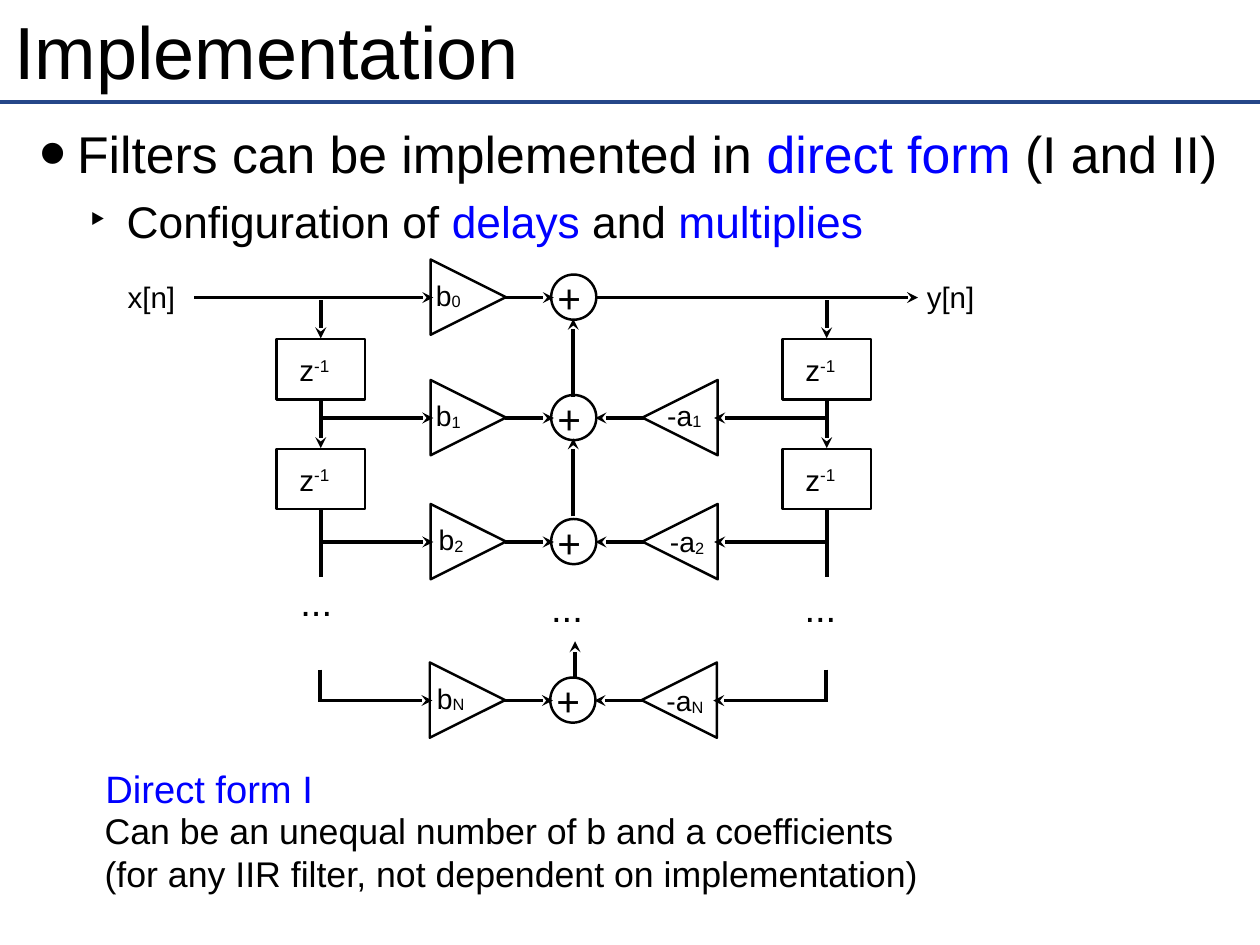
from dataclasses import dataclass

from lxml.etree import SubElement
from pptx import Presentation
from pptx.dml.color import RGBColor
from pptx.enum.shapes import MSO_CONNECTOR, MSO_SHAPE
from pptx.enum.text import MSO_ANCHOR
from pptx.oxml.ns import qn
from pptx.slide import Slide
from pptx.text.text import _Paragraph as Paragraph
from pptx.util import Emu, Pt

EMU_PER_PX = 9144


@dataclass(frozen=True)
class Theme:
    font: str = "Arial"
    ink: RGBColor = RGBColor(0, 0, 0)
    accent: RGBColor = RGBColor(0, 0, 255)
    rule: RGBColor = RGBColor(0x25, 0x47, 0x89)
    title: int = 60
    bullet: int = 42
    sub_bullet: int = 36
    sum_sign: int = 33
    caption: int = 31
    note: int = 29
    symbol: int = 24
    gain: int = 23
    wire: int = 3
    outline: int = 2


THEME = Theme()


@dataclass(frozen=True)
class Label:
    text: str
    left: int
    top: int
    width: int
    height: int
    size: int
    color: RGBColor = THEME.ink
    script: str = ""
    baseline: int = 0
    inset: int = 0


@dataclass(frozen=True)
class Wire:
    x1: int
    y1: int
    x2: int
    y2: int
    arrow: bool = True
    color: RGBColor = THEME.ink


@dataclass(frozen=True)
class Tap:
    y: int
    script: str
    b_left: int
    a_left: int = 0
    a_top: int = 0
    shift: int = 0
    input_x: int = 362


@dataclass(frozen=True)
class Bullet:
    spans: tuple[str, ...]
    mark: str
    mark_percent: int
    margin: int
    size: int
    space: int


TAPS = [
    Tap(336, "0", 492, input_x=219),
    Tap(472, "1", 492, 753, 445),
    Tap(612, "2", 495, 756, 588),
    Tap(791, "N", 493, 752, 767, shift=-1),
]
DELAY_COLUMNS = (362, 933)
DELAY_TOPS = (383, 507)
BULLETS = [
    Bullet(("Filters can be implemented in ", "direct form", " (I and II)"),
           "•", 150, 69, THEME.bullet, 0),
    Bullet(("Configuration of ", "delays", " and ", "multiplies"),
           "‣", 100, 125, THEME.sub_bullet, 8),
]
LABELS = [
    Label("Implementation", 10, 6, 1401, 101, THEME.title, inset=6),
    Label("x[n]", 144, 311, 66, 49, THEME.symbol),
    Label("y[n]", 1046, 311, 66, 49, THEME.symbol),
    Label("...", 339, 649, 48, 60, THEME.caption),
    Label("...", 622, 656, 48, 60, THEME.caption),
    Label("...", 908, 656, 48, 60, THEME.caption),
    Label("Direct form I", 119, 860, 260, 60, THEME.caption, THEME.accent),
    Label("Can be an unequal number of b and a coefficients\n"
          "(for any IIR filter, not dependent on implementation)",
          118, 911, 960, 101, THEME.note),
]
WIRES = [
    Wire(0, 115, 1422, 115, False, THEME.rule),
    Wire(672, 336, 1036, 336),
    Wire(647, 583, 647, 495),
    Wire(647, 448, 647, 360),
    Wire(649, 766, 649, 724),
]


def px(length: int) -> Emu:
    return Emu(length * EMU_PER_PX)


def style_run(span, size: int, color: RGBColor) -> None:
    span.font.name = THEME.font
    span.font.size = Pt(size)
    span.font.color.rgb = color


def add_label(page: Slide, label: Label) -> None:
    box = page.shapes.add_textbox(
        px(label.left), px(label.top), px(label.width), px(label.height))
    frame = box.text_frame
    frame.word_wrap = True
    frame.vertical_anchor = MSO_ANCHOR.MIDDLE
    frame.margin_left = frame.margin_right = px(label.inset)
    frame.margin_top = frame.margin_bottom = px(label.inset)
    frame.text = label.text
    for para in frame.paragraphs:
        for span in para.runs:
            style_run(span, label.size, label.color)
    if label.script:
        span = frame.paragraphs[0].add_run()
        span.text = label.script
        style_run(span, label.size, label.color)
        span.font._element.set("baseline", str(label.baseline * 1000))


def add_wire(page: Slide, wire: Wire) -> None:
    line = page.shapes.add_connector(
        MSO_CONNECTOR.STRAIGHT, px(wire.x1), px(wire.y1), px(wire.x2), px(wire.y2))
    line.line.color.rgb = wire.color
    line.line.width = Pt(THEME.wire)
    if wire.arrow:
        SubElement(line.line._get_or_add_ln(), qn("a:tailEnd"), type="stealth")
    SubElement(line._element.spPr, qn("a:effectLst"))


def add_outline(page: Slide, kind: MSO_SHAPE, left: int, top: int,
                width: int, height: int, rotation: int = 0) -> None:
    shape = page.shapes.add_shape(kind, px(left), px(top), px(width), px(height))
    shape.rotation = rotation
    shape.shadow.inherit = False
    shape.fill.background()
    shape.line.color.rgb = THEME.ink
    shape.line.width = Pt(THEME.outline)


def add_tap(page: Slide, tap: Tap) -> None:
    y, shift = tap.y, tap.shift
    add_outline(page, MSO_SHAPE.ISOSCELES_TRIANGLE, 486 + shift, y - 43, 85, 85, 90)
    add_outline(page, MSO_SHAPE.OVAL, 622 + shift, y - 26, 51, 51)
    add_label(page, Label("+", 629 + shift, y - 31, 39, 62, THEME.sum_sign))
    add_label(page, Label("b", tap.b_left, y - 27, 48, 48, THEME.gain,
                          script=tap.script, baseline=-6))
    add_wire(page, Wire(tap.input_x + shift, y, 489 + shift, y))
    add_wire(page, Wire(570 + shift, y, 625 + shift, y))
    if tap.a_left:
        add_outline(page, MSO_SHAPE.ISOSCELES_TRIANGLE, 725 + shift, y - 43, 85, 85, 270)
        add_label(page, Label("-a", tap.a_left, tap.a_top, 58, 47, THEME.gain,
                              script=tap.script, baseline=-6))
        add_wire(page, Wire(933 + shift, y, 806 + shift, y))
        add_wire(page, Wire(727 + shift, y, 672 + shift, y))


def add_delay_column(page: Slide, x: int) -> None:
    for top in DELAY_TOPS:
        add_outline(page, MSO_SHAPE.RECTANGLE, x - 50, top, 100, 68)
        add_label(page, Label("z", x - 24, top + 10, 49, 49, THEME.symbol,
                              script="-1", baseline=32))
    add_wire(page, Wire(x, 339, x, 382))
    add_wire(page, Wire(x, 451, x, 506))
    add_wire(page, Wire(x, 576, x, 651, False))
    add_wire(page, Wire(x - 1, 756, x - 1, 793, False))


def fill_bullet(para: Paragraph, bullet: Bullet) -> None:
    properties = para._p.get_or_add_pPr()
    properties.set("marL", str(px(bullet.margin)))
    properties.set("indent", str(px(-42)))
    SubElement(properties, qn("a:buSzPct"), val=str(bullet.mark_percent * 1000))
    SubElement(properties, qn("a:buFont"), typeface=THEME.font)
    SubElement(properties, qn("a:buChar"), char=bullet.mark)
    para.space_before = Pt(bullet.space)
    for index, text in enumerate(bullet.spans):
        span = para.add_run()
        span.text = text
        style_run(span, bullet.size, THEME.accent if index % 2 else THEME.ink)


def add_bullets(page: Slide) -> None:
    box = page.shapes.add_textbox(px(12), px(132), px(1401), px(150))
    frame = box.text_frame
    frame.word_wrap = True
    frame.margin_left = frame.margin_right = px(6)
    frame.margin_top = frame.margin_bottom = px(6)
    for index, bullet in enumerate(BULLETS):
        fill_bullet(frame.add_paragraph() if index else frame.paragraphs[0], bullet)


def main() -> None:
    deck = Presentation()
    deck.slide_width, deck.slide_height = px(1422), px(1067)
    page = deck.slides.add_slide(deck.slide_layouts[6])
    add_bullets(page)
    for wire in WIRES:
        add_wire(page, wire)
    for label in LABELS:
        add_label(page, label)
    for x in DELAY_COLUMNS:
        add_delay_column(page, x)
    for tap in TAPS:
        add_tap(page, tap)
    deck.save("out.pptx")


if __name__ == "__main__":
    main()
